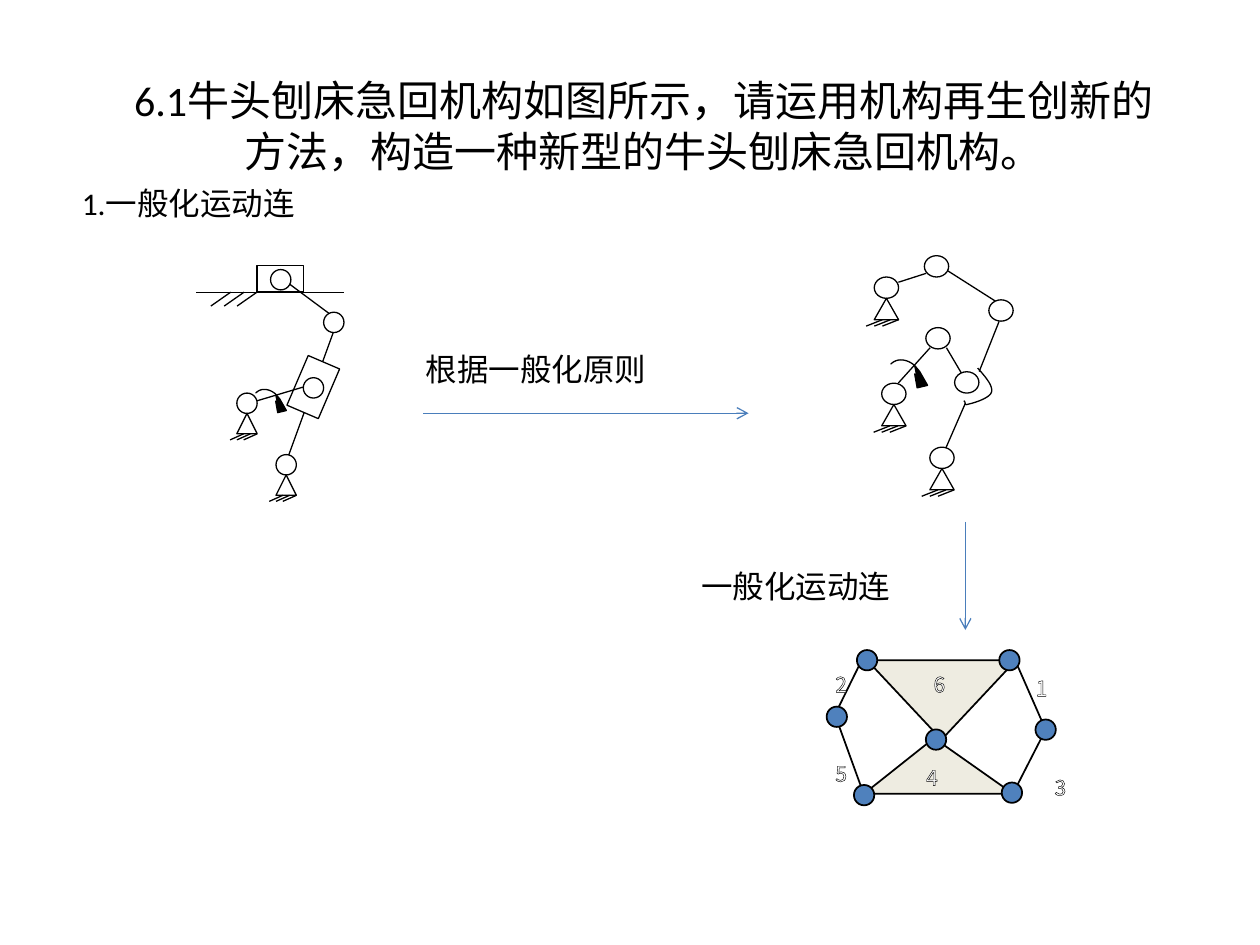
from dataclasses import dataclass
from typing import NamedTuple

from lxml.etree import SubElement
from pptx import Presentation
from pptx.dml.color import RGBColor
from pptx.enum.shapes import MSO_CONNECTOR, MSO_SHAPE
from pptx.enum.text import MSO_ANCHOR, PP_ALIGN
from pptx.oxml.ns import qn
from pptx.util import Cm, Pt


@dataclass(frozen=True)
class Theme:
    ink: str = "000000"
    paper: str = "FFFFFF"
    sand: str = "EEECE1"
    node: str = "4F81BD"
    arrow: str = "4A7EBB"
    face: str = "Calibri"
    digit: str = "Noto Sans CJK SC"
    head: int = 24
    body: int = 18
    small: int = 12
    thin: float = 0.75
    bold: float = 1


class Line(NamedTuple):
    x: float
    y: float
    x2: float
    y2: float


class Box(NamedTuple):
    x: float
    y: float
    w: float
    h: float


class Joint(NamedTuple):
    x: float
    y: float
    fixed: bool = False


class Note(NamedTuple):
    text: str
    box: Box


THEME = Theme()
BLACK = RGBColor.from_string(THEME.ink)

# Shaper mechanism
LEFT_LINKS = [Line(6.81, 6.45, 5.72, 5.64), Line(6.12, 7.80, 5.18, 8.08),
              Line(3.96, 5.89, 6.93, 5.89)]
LEFT_LINKS += [Line(x, 5.89, x - 0.40, 6.17) for x in (4.65, 4.92, 5.18)]
LEFT_JOINTS = [Joint(6.73, 6.50), Joint(6.32, 7.82), Joint(5.66, 5.64),
               Joint(4.98, 8.13, True), Joint(5.77, 9.37, True)]

# Generalized mechanism
RIGHT_LINKS = [Line(18.75, 7.01, 18.11, 7.72), Line(19.46, 8.13, 18.95, 9.30),
               Line(20.27, 6.20, 18.95, 5.36), Line(20.14, 6.48, 19.74, 7.49),
               Line(19.08, 7.01, 19.38, 7.52), Line(18.67, 5.51, 18.11, 5.69)]
RIGHT_JOINTS = [Joint(19.49, 7.71), Joint(18.02, 7.94, True), Joint(20.18, 6.26),
                Joint(18.91, 6.82), Joint(18.88, 5.37), Joint(18.99, 9.23, True),
                Joint(17.87, 5.80, True)]
CUP = [[(19.71, 7.42), (19.86, 7.59), (20.02, 7.77), (19.99, 7.90)],
       [(19.99, 7.90), (19.96, 8.03), (19.61, 8.13), (19.51, 8.15)],
       [(19.51, 8.15), (19.43, 8.18), (19.48, 8.10), (19.43, 8.08)]]

# Rotation arrow, measured from its tail
ARC = [(0, 0), (0.13, -0.13), (0.33, -0.10), (0.48, 0.03)]
TIP = [(0.58, 0.15), (0.74, 0.43), (0.53, 0.48), (0.48, 0.20),
       (0.61, 0.30), (0.51, 0.18)]

# Kinematic chain
CHAIN_LINKS = [Line(20.42, 13.21, 21.08, 14.71), Line(21.08, 14.71, 20.47, 15.90),
               Line(17.42, 13.21, 16.82, 14.43), Line(16.84, 14.43, 17.42, 16.03)]
NODES = [Joint(17.42, 16.03), Joint(16.87, 14.45), Joint(20.40, 15.98),
         Joint(21.08, 14.71), Joint(18.87, 14.91), Joint(20.35, 13.31),
         Joint(17.48, 13.31)]
DIGITS = [Note(text, Box(x, y, 0.20, 0.43)) for text, x, y in (
    ("6", 18.82, 13.41), ("5", 16.84, 15.21), ("4", 18.67, 15.29),
    ("3", 21.26, 15.49), ("2", 16.84, 13.41), ("1", 20.88, 13.49))]

TITLE = Note("6.1牛头刨床急回机构如图所示，请运用机构再生创新的方法，构造一种新型的牛头刨床急回机构。",
             Box(2.18, 0.99, 21.59, 4.09))
NOTES = [Note("1.一般化运动连", Box(1.40, 3.58, 8.74, 1.02)),
         Note("根据一般化原则", Box(8.33, 6.93, 8.74, 1.02)),
         Note("一般化运动连", Box(13.89, 11.30, 4.75, 1.02))]
ARROWS = [Line(8.53, 8.33, 15.09, 8.33), Line(19.46, 10.52, 19.46, 12.70)]


def stroke(shape, width: float) -> None:
    shape.line.color.rgb = BLACK
    shape.line.width = Pt(width)


def add_line(shapes, line: Line, color: str = THEME.ink,
             width: float = THEME.thin, arrow: bool = False) -> None:
    wire = shapes.add_connector(MSO_CONNECTOR.STRAIGHT, *map(Cm, line))
    wire.line.color.rgb = RGBColor.from_string(color)
    wire.line.width = Pt(width)
    if arrow:
        SubElement(wire.line._get_or_add_ln(), qn("a:tailEnd"), type="arrow")
    SubElement(wire._element.spPr, qn("a:effectLst"))


def add_form(shapes, kind: MSO_SHAPE, box: Box, fill: str = THEME.paper,
             width: float = THEME.thin, turn: float = 0):
    form = shapes.add_shape(kind, *map(Cm, box))
    form.shadow.inherit = False
    form.fill.solid()
    form.fill.fore_color.rgb = RGBColor.from_string(fill)
    stroke(form, width)
    form.rotation = turn
    return form


def add_ring(shapes, spot: Joint, w: float, h: float, **style) -> None:
    box = Box(spot.x - w / 2, spot.y - h / 2, w, h)
    add_form(shapes, MSO_SHAPE.OVAL, box, **style)


def add_joint(shapes, spot: Joint, w: float, h: float) -> None:
    """Draw a ring, with a hatched triangular support below a fixed one."""
    add_ring(shapes, spot, w, h)
    if not spot.fixed:
        return
    add_form(shapes, MSO_SHAPE.ISOSCELES_TRIANGLE,
             Box(spot.x - w / 2, spot.y + h / 2, w, h))
    base = spot.y + 1.5 * h
    for part in (-1, 1, 3):
        x = spot.x + part * w / 6
        add_line(shapes, Line(x, base, x - w * 2 / 3, base + 0.3 * h))


def bend(curve: list, count: int = 12) -> list:
    """Return points along a cubic curve."""
    spots = []
    for step in range(count + 1):
        t = step / count
        parts = ((1 - t) ** 3, 3 * t * (1 - t) ** 2, 3 * t * t * (1 - t), t ** 3)
        spots.append(tuple(sum(k * p[axis] for k, p in zip(parts, curve))
                           for axis in (0, 1)))
    return spots


def add_path(shapes, spots: list, close: bool) -> None:
    first, *rest = [(Cm(x), Cm(y)) for x, y in spots]
    pen = shapes.build_freeform(*first)
    pen.add_line_segments(rest, close=close)
    form = pen.convert_to_shape()
    form.shadow.inherit = False
    stroke(form, THEME.thin)
    if close:
        form.fill.solid()
        form.fill.fore_color.rgb = BLACK
    else:
        form.fill.background()


def add_spin(shapes, x: float, y: float, scale: float) -> None:
    """Draw the curved arrow that marks the turning crank."""
    arc = bend(ARC)
    spots = [(x + scale * a, y + scale * b) for a, b in arc + TIP + arc[:0:-1]]
    add_path(shapes, spots, True)


def add_note(shapes, note: Note, size: int, face: str = THEME.face,
             color: str = THEME.ink, wrap: bool = True):
    box = shapes.add_textbox(*map(Cm, note.box))
    frame = box.text_frame
    frame.word_wrap = wrap
    frame.text = note.text
    font = frame.paragraphs[0].runs[0].font
    font.size, font.name = Pt(size), face
    font.color.rgb = RGBColor.from_string(color)
    return frame


def add_digit(shapes, note: Note) -> None:
    frame = add_note(shapes, note, THEME.small, THEME.digit, THEME.paper, False)
    props = frame.paragraphs[0].runs[0]._r.get_or_add_rPr()
    edge = props.makeelement(qn("a:ln"), {"w": str(Pt(THEME.thin))})
    props.insert(0, edge)
    SubElement(SubElement(edge, qn("a:solidFill")), qn("a:srgbClr"), val=THEME.ink)


def draw_left(shapes) -> None:
    add_line(shapes, Line(6.81, 6.45, 5.72, 9.45))
    add_form(shapes, MSO_SHAPE.RECTANGLE, Box(5.97, 7.26, 0.69, 1.09), turn=23.2)
    add_form(shapes, MSO_SHAPE.RECTANGLE, Box(5.18, 5.36, 0.94, 0.53))
    for link in LEFT_LINKS:
        add_line(shapes, link)
    for spot in LEFT_JOINTS:
        add_joint(shapes, spot, 0.41, 0.41)
    add_spin(shapes, 5.16, 7.92, 0.83)


def draw_right(shapes) -> None:
    for link in RIGHT_LINKS:
        add_line(shapes, link)
    for spot in RIGHT_JOINTS:
        add_joint(shapes, spot, 0.49, 0.43)
    add_spin(shapes, 17.96, 7.34, 1)
    add_path(shapes, [p for curve in CUP for p in bend(curve)], False)


def draw_chain(shapes) -> None:
    kind, look = MSO_SHAPE.ISOSCELES_TRIANGLE, {"fill": THEME.sand, "width": THEME.bold}
    low = add_form(shapes, kind, Box(17.42, 14.88, 3.00, 1.12), **look)
    low.adjustments[0] = 0.47
    add_form(shapes, kind, Box(17.48, 13.31, 3.00, 1.60), turn=180, **look)
    for link in CHAIN_LINKS:
        add_line(shapes, link, width=THEME.bold)
    for spot in NODES:
        add_ring(shapes, spot, 0.41, 0.41, fill=THEME.node, width=THEME.bold)
    for note in DIGITS:
        add_digit(shapes, note)


def main() -> None:
    deck = Presentation()
    deck.slide_width, deck.slide_height = Cm(25.4), Cm(19.05)
    shapes = deck.slides.add_slide(deck.slide_layouts[6]).shapes
    title = add_note(shapes, TITLE, THEME.head)
    title.vertical_anchor = MSO_ANCHOR.MIDDLE
    title.margin_bottom = Cm(1.14)
    title.paragraphs[0].alignment = PP_ALIGN.CENTER
    for draw in (draw_left, draw_right, draw_chain):
        draw(shapes.add_group_shape().shapes)
    for note in NOTES:
        add_note(shapes, note, THEME.body)
    for line in ARROWS:
        add_line(shapes, line, THEME.arrow, arrow=True)
    deck.save("out.pptx")


if __name__ == "__main__":
    main()
